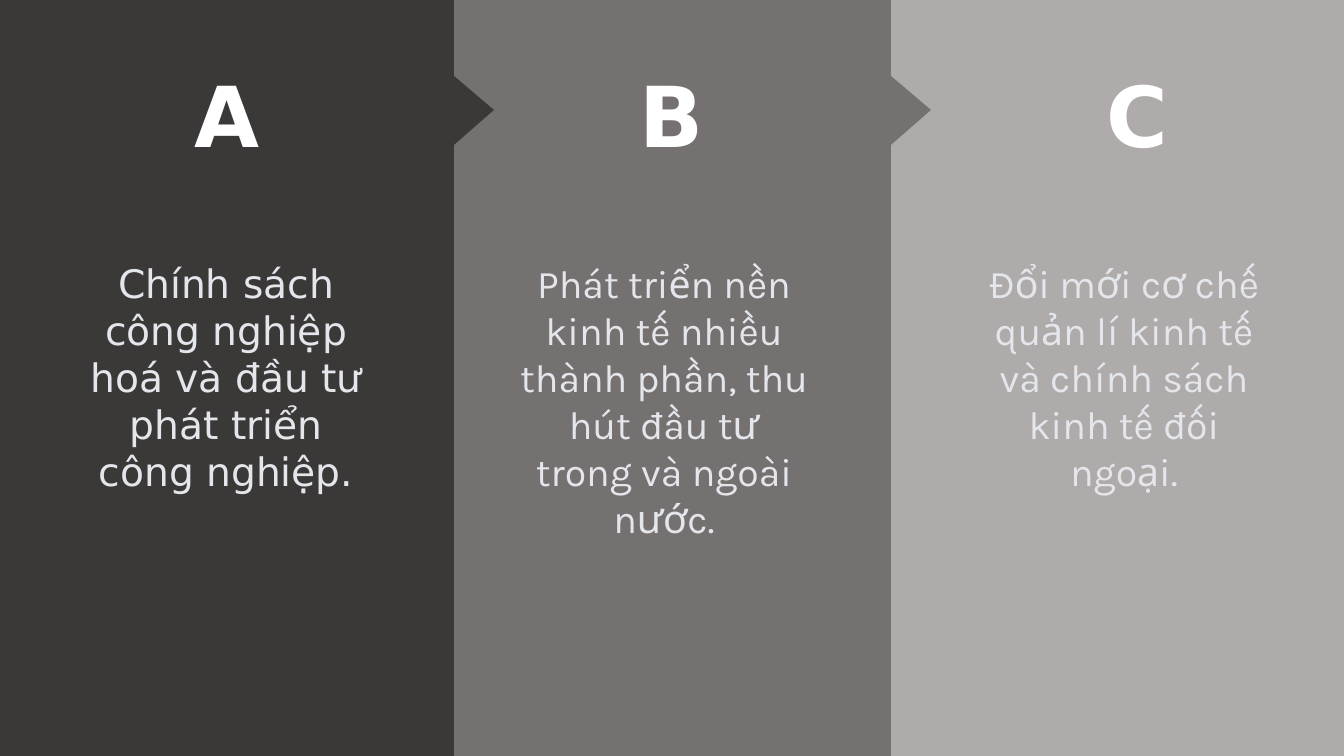
"""Build a slide of three arrow-linked panels, A to C, on economic policy."""
from pptx import Presentation
from pptx.dml.color import RGBColor
from pptx.enum.shapes import MSO_SHAPE
from pptx.enum.text import MSO_ANCHOR, PP_ALIGN
from pptx.util import Pt

CENTER = PP_ALIGN.CENTER
TOP = MSO_ANCHOR.TOP
RECTANGLE = MSO_SHAPE.RECTANGLE
PX = 914400 / 100.8
WIDTH, HEIGHT = 1344, 756
COLORS = {
    "background": "262626",
    "A": "3B3838",
    "B": "767171",
    "C": "AFABAB",
    "letter": "FFFFFF",
    "body": "E4E6EB",
}
PANELS = [
    {"letter": "A", "left": 0, "right": 454, "letter_center": 227,
     "body_left": 70, "body_height": 248, "font": "DejaVu Sans",
     "body": "Chính sách công nghiệp hoá và đầu tư phát triển công nghiệp."},
    {"letter": "B", "left": 454, "right": 891, "letter_center": 672,
     "body_left": 508, "body_height": 248, "font": "Karla",
     "body": "Phát triển nền kinh tế nhiều thành phần, thu hút đầu tư trong và ngoài nước."},
    {"letter": "C", "left": 891, "right": WIDTH, "letter_center": 1137,
     "body_left": 968, "body_height": 201, "font": "Karla",
     "body": "Đổi mới cơ chế quản lí kinh tế và chính sách kinh tế đối ngoại."},
]
ARROW_TOP, ARROW_MIDDLE, ARROW_BOTTOM, ARROW_DEPTH = 76, 110, 145, 40
LETTER_TOP, LETTER_WIDTH, LETTER_HEIGHT = 59, 86, 112
BODY_TOP, BODY_WIDTH = 254, 312


def emu(pixels):
    return round(pixels * PX)


def color(name):
    return RGBColor.from_string(COLORS[name])


def add_panel(page, panel):
    left, right = panel["left"], panel["right"]
    if right == WIDTH:
        shape = page.shapes.add_shape(
            RECTANGLE, emu(left), 0, emu(right) - emu(left), emu(HEIGHT))
    else:
        builder = page.shapes.build_freeform(left, 0, scale=PX)
        builder.add_line_segments([
            (right, 0), (right, ARROW_TOP), (right + ARROW_DEPTH, ARROW_MIDDLE),
            (right, ARROW_BOTTOM), (right, HEIGHT), (left, HEIGHT)], close=True)
        shape = builder.convert_to_shape()
    shape.shadow.inherit = False
    shape.fill.solid()
    shape.fill.fore_color.rgb = color(panel["letter"])
    shape.line.fill.background()


def add_text(page, text, left, top, width, height, font, size, ink, bold, wrap):
    box = page.shapes.add_textbox(emu(left), emu(top), emu(width), emu(height))
    frame = box.text_frame
    frame.word_wrap = wrap
    frame.vertical_anchor = TOP
    frame.text = text
    para = frame.paragraphs[0]
    para.alignment = CENTER
    span = para.runs[0]
    span.font.name = font
    span.font.size = Pt(size)
    span.font.bold = bold
    span.font.color.rgb = color(ink)


def main():
    deck = Presentation()
    deck.slide_width, deck.slide_height = emu(WIDTH), emu(HEIGHT)
    page = deck.slides.add_slide(deck.slide_layouts[6])
    page.background.fill.solid()
    page.background.fill.fore_color.rgb = color("background")
    for panel in reversed(PANELS):
        add_panel(page, panel)
        add_text(page, panel["letter"], panel["letter_center"] - LETTER_WIDTH // 2,
                 LETTER_TOP, LETTER_WIDTH, LETTER_HEIGHT,
                 "DejaVu Sans", 60, "letter", True, False)
        add_text(page, panel["body"], panel["body_left"], BODY_TOP,
                 BODY_WIDTH, panel["body_height"],
                 panel["font"], 28, "body", False, True)
    deck.save("out.pptx")


if __name__ == "__main__":
    main()
